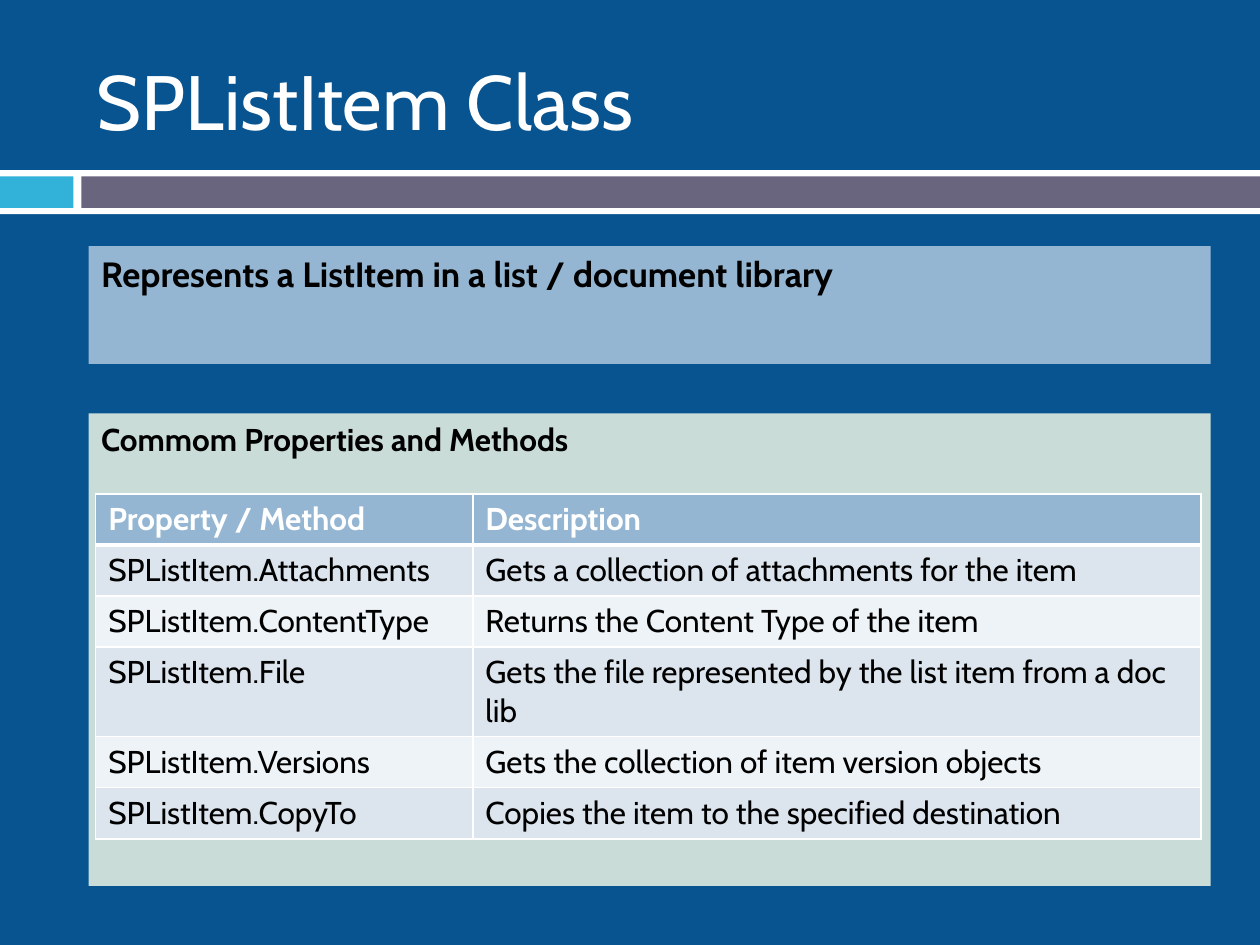
"""Build the SPListItem class slide."""
import dataclasses

import lxml.etree
import pptx
import pptx.dml.color
import pptx.enum.shapes
import pptx.enum.text
import pptx.oxml.ns
import pptx.util

Pt = pptx.util.Pt
qn = pptx.oxml.ns.qn
ANCHOR = pptx.enum.text.MSO_ANCHOR

HUES = {
    "back": "085490", "white": "FFFFFF", "black": "000000",
    "cyan": "32B2D9", "plum": "69657E", "mint": "CADCD8",
    "blue": "94B6D2", "dark": "DCE5EE", "light": "EEF3F7",
}
ROWS = [
    ("Property / Method", "Description"),
    ("SPListItem.Attachments", "Gets a collection of attachments for the item"),
    ("SPListItem.ContentType", "Returns the Content Type of the item"),
    ("SPListItem.File", "Gets the file represented by the list item from a doc lib"),
    ("SPListItem.Versions", "Gets the collection of item version objects"),
    ("SPListItem.CopyTo", "Copies the item to the specified destination"),
]
WIDTHS = (215.5, 416)
HIGH = 29.2


@dataclasses.dataclass
class Box:
    left: float
    top: float
    width: float
    height: float
    fill: str = ""


@dataclasses.dataclass
class Panel:
    slot: int
    box: Box
    text: str
    size: float


BANDS = [
    Box(0, 97.2, 720, 25.2, "white"),
    Box(0, 100.8, 42, 18, "cyan"),
    Box(46.5, 100.8, 673.5, 18, "plum"),
]
TITLE = Box(48.2, 18, 565.2, 77.8)
PANELS = [
    Panel(1, Box(50.6, 236.2, 641.2, 270), "Commom Properties and Methods", 18),
    Panel(2, Box(50.6, 140.6, 641.2, 67.4),
          "Represents a ListItem in a list / document library", 20),
]
PANELS[0].box.fill = "mint"
PANELS[1].box.fill = "blue"


def put(item, values: dict) -> None:
    for name, value in values.items():
        setattr(item, name, value)


def place(shape, box: Box) -> None:
    put(shape, {name: Pt(getattr(box, name))
                for name in ("left", "top", "width", "height")})


def paint(fill, hue: str) -> None:
    fill.solid()
    fill.fore_color.rgb = pptx.dml.color.RGBColor.from_string(HUES[hue])


def write(frame, text: str, size: float, hue: str, bold: bool = False):
    para = frame.paragraphs[0]
    run = para.add_run()
    run.text = text
    put(run.font, {"name": "Cabin", "size": Pt(size), "bold": bold})
    paint(run.font.fill, hue)
    return para


def draw_band(slide, box: Box) -> None:
    kind = pptx.enum.shapes.MSO_SHAPE.RECTANGLE
    band = slide.shapes.add_shape(kind, 0, 0, 0, 0)
    place(band, box)
    paint(band.fill, box.fill)
    band.line.fill.background()
    band.shadow.inherit = False


def draw_panel(slide, panel: Panel) -> None:
    body = slide.placeholders[panel.slot]
    place(body, panel.box)
    paint(body.fill, panel.box.fill)
    put(body.text_frame, {"auto_size": pptx.enum.text.MSO_AUTO_SIZE.NONE,
                          "vertical_anchor": ANCHOR.TOP})
    para = write(body.text_frame, panel.text, panel.size, "black", True)
    para.space_before = Pt(7)
    props = para._p.get_or_add_pPr()
    props.set("marL", str(Pt(25)))
    props.set("indent", str(Pt(-25)))
    lxml.etree.SubElement(props, qn("a:buNone"))


def edge(cell, sides: dict) -> None:
    props = cell._tc.get_or_add_tcPr()
    for spot, (side, width) in enumerate(sides.items()):
        line = lxml.etree.Element(qn("a:ln" + side), w=str(Pt(width)))
        fill = lxml.etree.SubElement(line, qn("a:solidFill"))
        lxml.etree.SubElement(fill, qn("a:srgbClr"), val=HUES["white"])
        props.insert(spot, line)


def draw_table(slide) -> None:
    frame = slide.shapes.add_table(
        len(ROWS), len(WIDTHS), Pt(54.7), Pt(282.2),
        Pt(sum(WIDTHS)), Pt(HIGH * len(ROWS)))
    table = frame.table
    for col, width in zip(table.columns, WIDTHS):
        col.width = Pt(width)
    for num, texts in enumerate(ROWS):
        table.rows[num].height = Pt(HIGH)
        head = num == 0
        fill = "blue" if head else ("light", "dark")[num % 2]
        for col, text in enumerate(texts):
            cell = table.cell(num, col)
            paint(cell.fill, fill)
            edge(cell, {"L": 1, "R": 1, "T": 3 if num == 1 else 1,
                        "B": 3 if head else 1})
            write(cell.text_frame, text, 18, "white" if head else "black", head)


def main() -> None:
    deck = pptx.Presentation()
    put(deck, {"slide_width": Pt(720), "slide_height": Pt(540)})
    slide = deck.slides.add_slide(deck.slide_layouts[3])
    paint(slide.background.fill, "back")
    for band in BANDS:
        draw_band(slide, band)
    title = slide.shapes.title
    place(title, TITLE)
    put(title.text_frame, {"auto_size": pptx.enum.text.MSO_AUTO_SIZE.NONE,
                           "vertical_anchor": ANCHOR.MIDDLE})
    para = write(title.text_frame, "SPListItem Class", 44, "white")
    para.alignment = pptx.enum.text.PP_ALIGN.LEFT
    for panel in PANELS:
        draw_panel(slide, panel)
    draw_table(slide)
    deck.save("out.pptx")


main()
